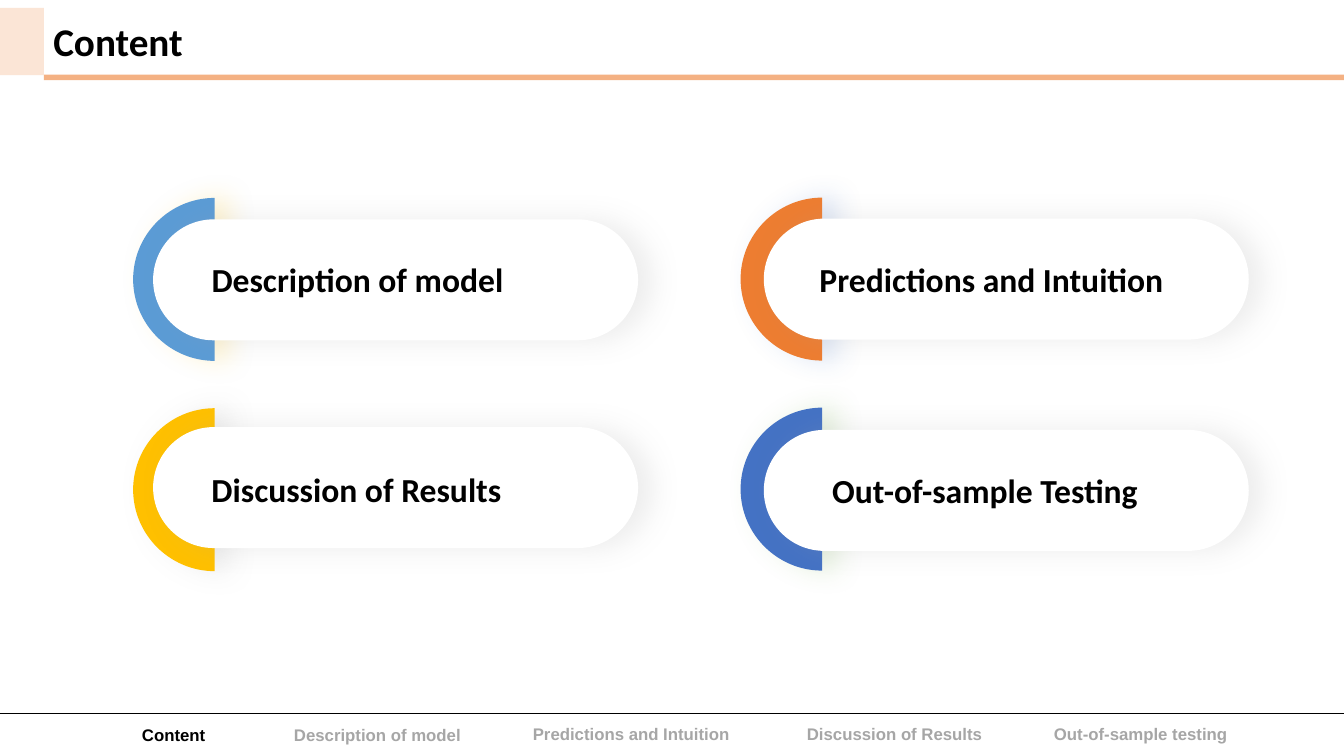
from lxml import etree
from pptx import Presentation
from pptx.dml.color import RGBColor
from pptx.enum.shapes import MSO_SHAPE
from pptx.enum.text import MSO_ANCHOR
from pptx.oxml.ns import qn
from pptx.util import Pt

RECTANGLE = MSO_SHAPE.RECTANGLE
PILL = MSO_SHAPE.ROUNDED_RECTANGLE
TOP = MSO_ANCHOR.TOP
MIDDLE = MSO_ANCHOR.MIDDLE

COLORS = {
    "black": "000000",
    "white": "FFFFFF",
    "gray": "A6A6A6",
    "silver": "A5A5A5",
    "rule": "F4B183",
    "corner": "FBE5D6",
    "sky": "5B9BD5",
    "orange": "ED7D31",
    "gold": "FFC000",
    "blue": "4472C4",
    "green": "70AD47",
}
TITLE = "Content"
SECTIONS = [
    {"label": "Description of model", "disc": "sky", "glow": "gold",
     "pill": (109.4, 156.7), "disc_center": (153.3, 199.6), "text": (144, 181.4, 228)},
    {"label": "Predictions and Intuition", "disc": "orange", "glow": "blue",
     "pill": (545.6, 156.2), "disc_center": (587.2, 199.4), "text": (578.2, 181.4, 281)},
    {"label": "Discussion of Results", "disc": "gold", "glow": "silver",
     "pill": (109.4, 305.1), "disc_center": (153.3, 349.8), "text": (144, 331.4, 269)},
    {"label": "Out-of-sample Testing", "disc": "blue", "glow": "green",
     "pill": (545.6, 307.1), "disc_center": (587.2, 349.4), "text": (587.4, 332, 283)},
]
FOOTER = [
    ("Content", 101.4, 516.8, 57, "black"),
    ("Description of model", 210, 516.8, 123, "gray"),
    ("Predictions and Intuition", 380.6, 516, 150, "gray"),
    ("Discussion of Results", 576.4, 516, 130, "gray"),
    ("Out-of-sample testing", 752.8, 516, 148, "gray"),
]
SLIDE_WIDTH, SLIDE_HEIGHT = 960, 540
DIVIDER_TOP, DIVIDER_BOTTOM = 498.2, 509.6
PILL_WIDTH, PILL_HEIGHT = 346.4, 86.4
DISC_RADIUS = 58.2
CURVE_HANDLE = 0.55


def color(name):
    return RGBColor.from_string(COLORS[name])


def paint(shape, fill, shadow=None):
    shape.fill.solid()
    shape.fill.fore_color.rgb = color(fill)
    shape.line.fill.background()
    shape.shadow.inherit = False
    if shadow:
        effects = shape._element.spPr.find(qn("a:effectLst"))
        outer = etree.SubElement(effects, qn("a:outerShdw"), blurRad=str(Pt(20)),
                                 dist=str(Pt(10)), dir="0", algn="l", rotWithShape="0")
        tint = etree.SubElement(outer, qn("a:srgbClr"), val=COLORS[shadow])
        etree.SubElement(tint, qn("a:alpha"), val="20000")


def add_box(slide, kind, left, top, width, height, fill, shadow=None):
    shape = slide.shapes.add_shape(kind, Pt(left), Pt(top), Pt(width), Pt(height))
    if kind == PILL:
        shape.adjustments[0] = 0.5
    paint(shape, fill, shadow)


def add_divider(slide):
    builder = slide.shapes.build_freeform(0, Pt(DIVIDER_BOTTOM))
    builder.add_line_segments([(Pt(SLIDE_WIDTH), Pt(DIVIDER_BOTTOM))], close=False)
    builder.move_to(0, Pt(DIVIDER_TOP))
    divider = builder.convert_to_shape()
    divider.fill.background()
    divider.line.color.rgb = color("black")
    divider.line.width = Pt(0.75)
    divider.shadow.inherit = False


def add_half_disc(slide, center, fill, shadow):
    middle = center[0] - DISC_RADIUS / 2
    flat_side = center[1] - DISC_RADIUS / 2
    curve = [(-1, 0), (-1, CURVE_HANDLE), (-CURVE_HANDLE, 1), (0, 1),
             (CURVE_HANDLE, 1), (1, CURVE_HANDLE), (1, 0)]
    points = [(Pt(middle + across * DISC_RADIUS), Pt(flat_side + down * DISC_RADIUS))
              for across, down in curve]
    builder = slide.shapes.build_freeform(*points[0])
    builder.add_line_segments(points[1:], close=True)
    shape = builder.convert_to_shape()
    segments = list(shape._element.iter(qn("a:lnTo")))[:len(points) - 1]
    for start in range(0, len(segments), 3):
        bezier = etree.Element(qn("a:cubicBezTo"))
        segments[start].addprevious(bezier)
        for segment in segments[start:start + 3]:
            bezier.append(segment[0])
            segment.getparent().remove(segment)
    shape.rotation = 90
    paint(shape, fill, shadow)


def add_text(slide, text, left, top, width, height, size, font, ink="black",
             anchor=MIDDLE, tight=False):
    shape = slide.shapes.add_textbox(Pt(left), Pt(top), Pt(width), Pt(height))
    frame = shape.text_frame
    frame.word_wrap = True
    frame.vertical_anchor = anchor
    paragraph = frame.paragraphs[0]
    if tight:
        frame.margin_left = frame.margin_right = frame.margin_bottom = 0
        frame.margin_top = Pt(1)
        paragraph.space_before = Pt(1)
    run = paragraph.add_run()
    run.text = text
    run.font.size = Pt(size)
    run.font.name = font
    run.font.bold = True
    run.font.color.rgb = color(ink)


def main():
    presentation = Presentation()
    presentation.slide_width = Pt(SLIDE_WIDTH)
    presentation.slide_height = Pt(SLIDE_HEIGHT)
    slide = presentation.slides.add_slide(presentation.slide_layouts[6])

    add_text(slide, TITLE, 31, 8.8, 897, 41, 28, "Calibri", anchor=TOP)
    add_box(slide, RECTANGLE, 31.4, 53.4, SLIDE_WIDTH - 31.4, 3.8, "rule")
    add_divider(slide)
    add_box(slide, RECTANGLE, 0, 5.6, 31.4, 48, "corner")
    for label, left, top, width, ink in FOOTER:
        add_text(slide, label, left, top, width, 16, 12, "Arial", ink, TOP, tight=True)

    for section in SECTIONS:
        add_half_disc(slide, section["disc_center"], section["disc"], section["glow"])
        add_box(slide, PILL, *section["pill"], PILL_WIDTH, PILL_HEIGHT, "white", "gray")
        left, top, width = section["text"]
        add_text(slide, section["label"], left, top, width, 36, 24, "Calibri")

    presentation.save("out.pptx")


if __name__ == "__main__":
    main()
